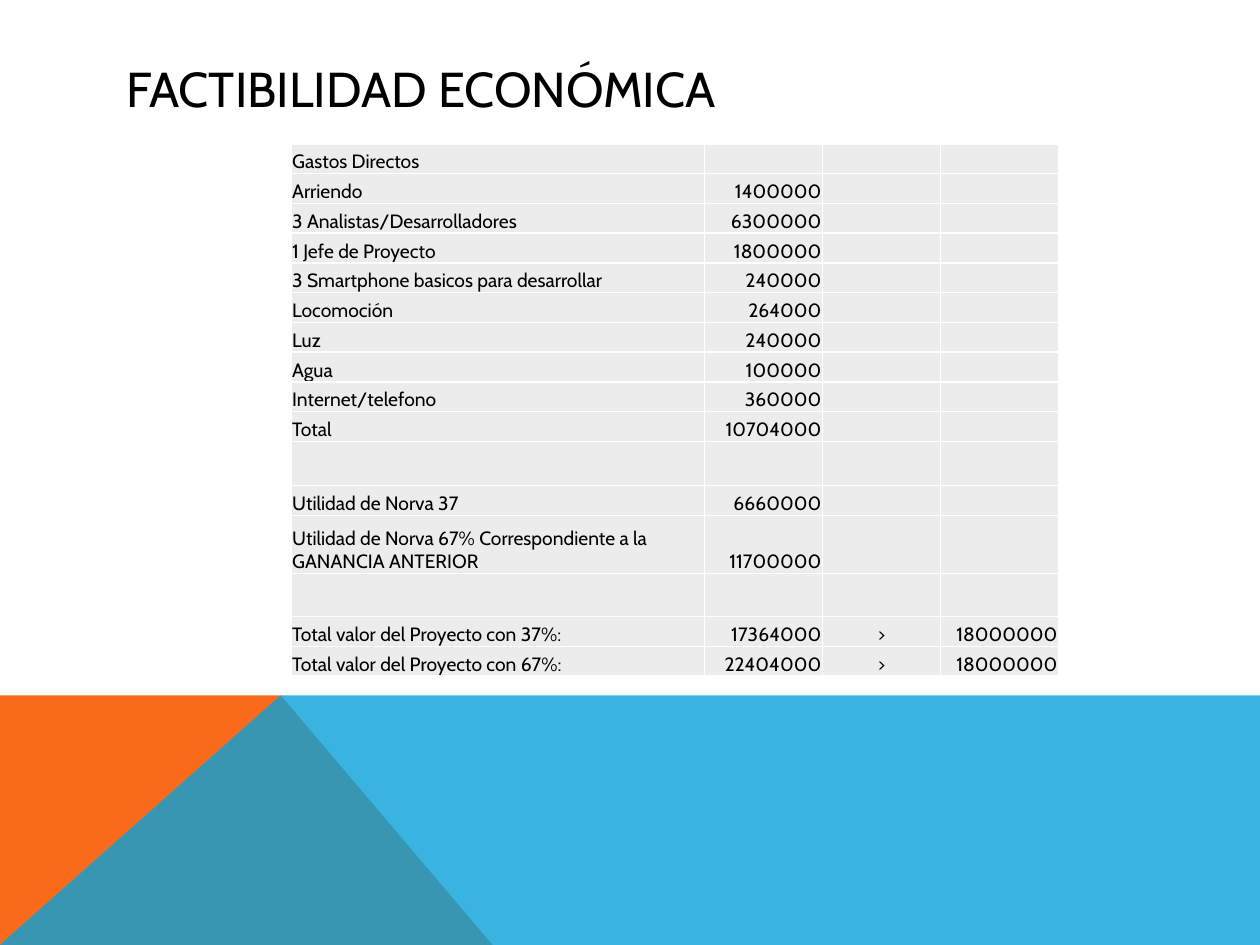
from dataclasses import dataclass

from lxml import etree
from pptx import Presentation
from pptx import util as u
from pptx.dml.color import RGBColor
from pptx.enum import text
from pptx.oxml import ns

FONT = "Cabin"
BLACK, WHITE, GREY = "000000", "FFFFFF", "ECECEC"
ORANGE, BLUE = "F96A1B", "08A1D9"
LEFT, CENTER, RIGHT = text.PP_ALIGN.LEFT, text.PP_ALIGN.CENTER, text.PP_ALIGN.RIGHT

WIDTH, HEIGHT, BAND_TOP, PEAK = 25.4, 19.05, 14.02, 5.66
COLUMNS = [8.33, 2.38, 2.38, 2.38]
ALIGNS = [LEFT, RIGHT, CENTER, RIGHT]
ROW_HEIGHT = 0.6


@dataclass
class Row:
    label: str = ""
    amount: str = ""
    sign: str = ""
    limit: str = ""
    height: float = ROW_HEIGHT


@dataclass
class Band:
    points: list[tuple[float, float]]
    color: str
    opacity: int = 100


ROWS = [
    Row("Gastos Directos"),
    Row("Arriendo", "1400000"),
    Row("3 Analistas/Desarrolladores", "6300000"),
    Row("1 Jefe de Proyecto", "1800000"),
    Row("3 Smartphone basicos para desarrollar", "240000"),
    Row("Locomoción", "264000"),
    Row("Luz", "240000"),
    Row("Agua", "100000"),
    Row("Internet/telefono", "360000"),
    Row("Total", "10704000"),
    Row(height=0.89),
    Row("Utilidad de Norva 37", "6660000"),
    Row("Utilidad de Norva 67% Correspondiente a la GANANCIA ANTERIOR",
        "11700000", height=1.17),
    Row(height=0.87),
    Row("Total valor del Proyecto con 37%:", "17364000", ">", "18000000"),
    Row("Total valor del Proyecto con 67%:", "22404000", ">", "18000000"),
]

BANDS = [
    Band([(0, HEIGHT), (0, BAND_TOP), (PEAK, BAND_TOP), (9.93, HEIGHT)], ORANGE),
    Band([(0, HEIGHT), (PEAK, BAND_TOP), (WIDTH, BAND_TOP), (WIDTH, HEIGHT)], BLUE, 80),
]


def rgb(color: str) -> RGBColor:
    return RGBColor.from_string(color)


def sub(parent, tag: str, **attrs: str):
    return etree.SubElement(parent, ns.qn(tag), attrs)


def write(tf, content: str, *, size: float, align=LEFT, color: str = BLACK) -> None:
    """Put one formatted paragraph in a text frame."""
    p = tf.paragraphs[0]
    p.alignment = align
    if content:
        r = p.add_run()
        r.text = content
        r.font.name, r.font.size = FONT, u.Pt(size)
        r.font.color.rgb = rgb(color)
    else:
        # An empty cell keeps the text size, so its row does not grow
        sub(p._p, "a:endParaRPr", sz=str(int(size * 100)))


def draw_band(slide, band: Band) -> None:
    points = [(u.Cm(x), u.Cm(y)) for x, y in band.points]
    builder = slide.shapes.build_freeform(*points[0])
    builder.add_line_segments(points[1:], close=True)
    sp = builder.convert_to_shape()
    sp.shadow.inherit = False
    sp.line.fill.background()
    sp.fill.solid()
    sp.fill.fore_color.rgb = rgb(band.color)
    if band.opacity < 100:
        fill_color = sp.element.spPr.find(".//" + ns.qn("a:srgbClr"))
        sub(fill_color, "a:alpha", val=str(band.opacity * 1000))


def set_borders(cell, color: str, width: float) -> None:
    """Add the four borders, which come before the fill in the cell's XML."""
    props = cell._tc.get_or_add_tcPr()
    for i, side in enumerate("LRTB"):
        ln = sub(props, f"a:ln{side}", w=str(u.Pt(width)))
        sub(sub(ln, "a:solidFill"), "a:srgbClr", val=color)
        props.insert(i, ln)


def draw_table(slide, rows: list[Row], left: float, top: float) -> None:
    frame = slide.shapes.add_table(
        len(rows), len(COLUMNS), u.Cm(left), u.Cm(top),
        u.Cm(sum(COLUMNS)), u.Cm(sum(row.height for row in rows)))
    table = frame.table
    table.first_row = table.horz_banding = False
    for column, width in zip(table.columns, COLUMNS):
        column.width = u.Cm(width)
    for i, row in enumerate(rows):
        table.rows[i].height = u.Cm(row.height)
        values = (row.label, row.amount, row.sign, row.limit)
        for j, (value, align) in enumerate(zip(values, ALIGNS)):
            cell = table.cell(i, j)
            cell.fill.solid()
            cell.fill.fore_color.rgb = rgb(GREY)
            cell.vertical_anchor = text.MSO_ANCHOR.BOTTOM
            cell.margin_left = cell.margin_right = cell.margin_top = u.Cm(0.02)
            cell.margin_bottom = 0
            write(cell.text_frame, value, size=11, align=align)
            set_borders(cell, WHITE, 1)


def main() -> None:
    prs = Presentation()
    prs.slide_width, prs.slide_height = u.Cm(WIDTH), u.Cm(HEIGHT)
    slide = prs.slides.add_slide(prs.slide_layouts[5])

    # Title
    title = slide.shapes.title
    title.left, title.top = u.Cm(2.29), u.Cm(1.02)
    title.width, title.height = u.Cm(20.88), u.Cm(1.52)
    title.text_frame.vertical_anchor = text.MSO_ANCHOR.MIDDLE
    write(title.text_frame, "FACTIBILIDAD ECONÓMICA", size=28)

    # Coloured bands at the foot
    for band in BANDS:
        draw_band(slide, band)

    # Table of costs
    draw_table(slide, ROWS, 5.87, 2.9)

    prs.save("out.pptx")


if __name__ == "__main__":
    main()
